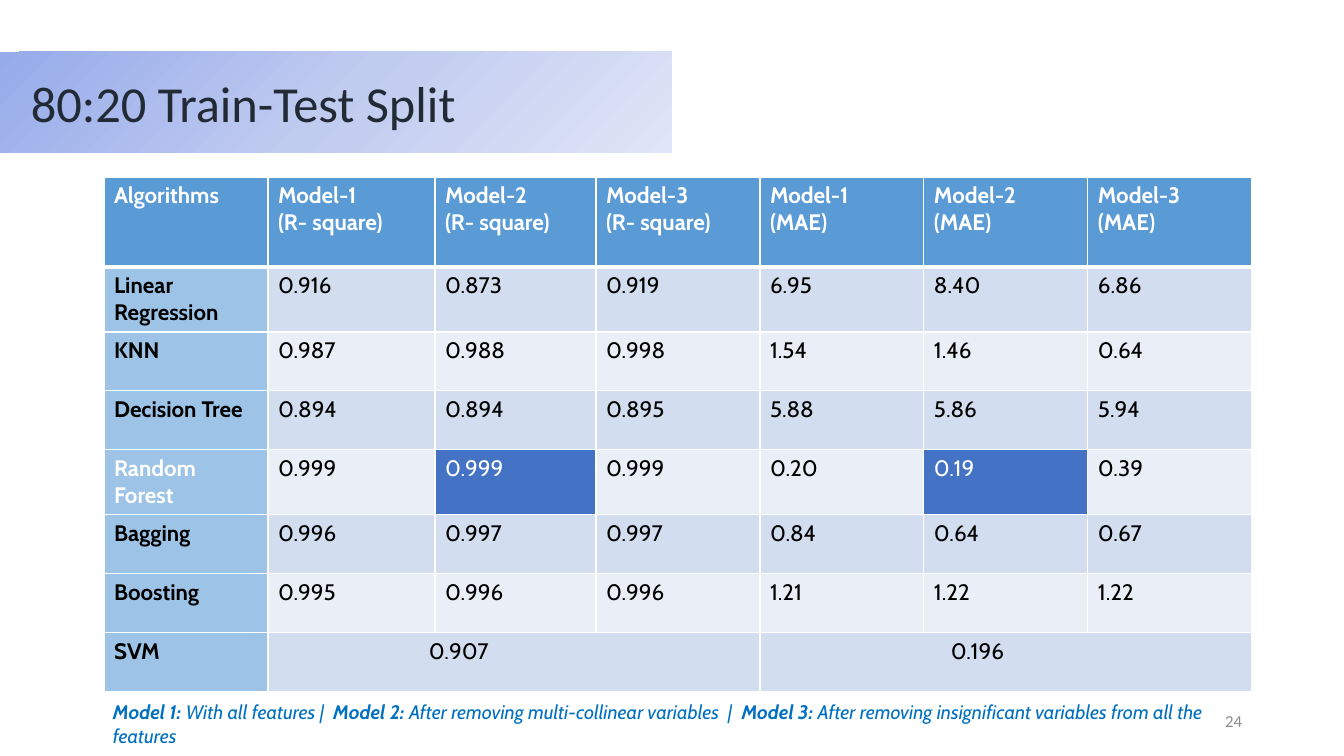
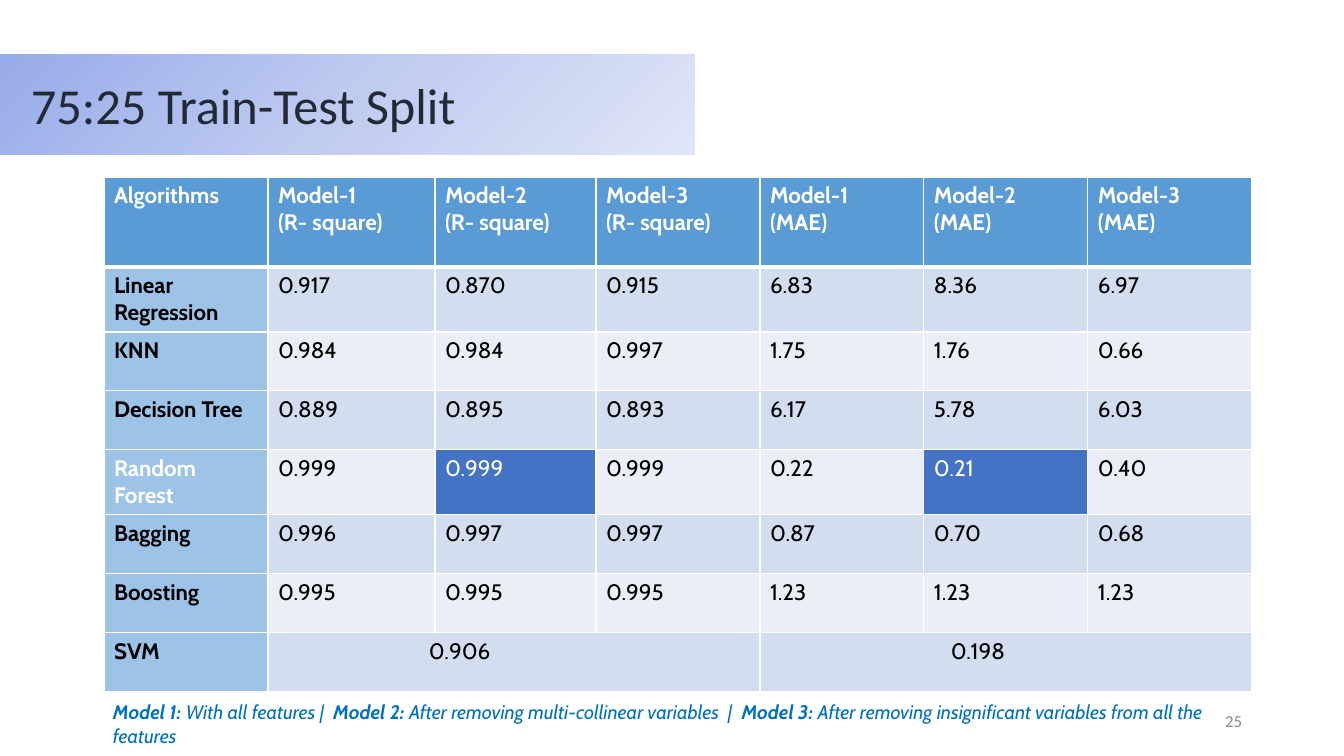
import copy

import pptx
import pptx.dml.color
import pptx.enum.text
import pptx.oxml
import pptx.oxml.ns
import pptx.util

RGB = pptx.dml.color.RGBColor
ALIGN = pptx.enum.text.PP_ALIGN
ANCHOR = pptx.enum.text.MSO_ANCHOR

WHITE = RGB(0xFF, 0xFF, 0xFF)
BLACK = RGB(0x00, 0x00, 0x00)
TITLE_INK = RGB(0x22, 0x2A, 0x35)
NUMBER_GRAY = RGB(0x8C, 0x8C, 0x8C)
NOTE_BLUE = RGB(0x00, 0x70, 0xC0)
HEADER_BLUE = RGB(0x5B, 0x9B, 0xD5)
NAME_BLUE = RGB(0x9D, 0xC3, 0xE6)
BEST_BLUE = RGB(0x44, 0x72, 0xC4)
ROW_BANDS = (RGB(0xEA, 0xEF, 0xF7), RGB(0xD2, 0xDE, 0xEF))
BAND_STOPS = (RGB(0x96, 0xAB, 0xEA), RGB(0xC0, 0xCB, 0xF0), RGB(0xE0, 0xE5, 0xF7))

BODY_FONT = "Cabin"
TITLE_FONT = "Calibri"

SLIDE_SIZE = (1344, 756)
TABLE_LEFT, TABLE_TOP = 104, 177
COLUMN_WIDTHS = (164, 167, 161, 164, 164, 164, 164)
HEADER_HEIGHT, ROW_HEIGHT, TALL_ROW_HEIGHT = 90, 59, 65

HEADERS = ["Algorithms"] + [
    f"Model-{model}\n({measure})" for measure in ("R- square", "MAE") for model in (1, 2, 3)
]
ALGORITHMS = ("Linear Regression", "KNN", "Decision Tree", "Random Forest",
              "Bagging", "Boosting", "SVM")
TALL_ROWS = (1, 4)
BEST_ROW, BEST_COLUMNS = 4, (2, 5)
SVM_ROW = 7
SVM_INDENTS = {1: 161, 4: 191}

MODEL_NOTES = (
    ("Model 1: ", "With all features |  "),
    ("Model 2: ", "After removing multi-collinear variables  |  "),
    ("Model 3: ", "After removing insignificant variables from all the features"),
)

SPLITS = (
    {
        "title": "80:20 Train-Test Split", "number": "24", "band": (0, 52, 672, 101),
        "scores": (
            ("0.916", "0.873", "0.919", "6.95", "8.40", "6.86"),
            ("0.987", "0.988", "0.998", "1.54", "1.46", "0.64"),
            ("0.894", "0.894", "0.895", "5.88", "5.86", "5.94"),
            ("0.999", "0.999", "0.999", "0.20", "0.19", "0.39"),
            ("0.996", "0.997", "0.997", "0.84", "0.64", "0.67"),
            ("0.995", "0.996", "0.996", "1.21", "1.22", "1.22"),
            ("0.907", "", "", "0.196", "", ""),
        ),
    },
    {
        "title": "75:25 Train-Test Split", "number": "25", "band": (0, 54, 695, 101),
        "scores": (
            ("0.917", "0.870", "0.915", "6.83", "8.36", "6.97"),
            ("0.984", "0.984", "0.997", "1.75", "1.76", "0.66"),
            ("0.889", "0.895", "0.893", "6.17", "5.78", "6.03"),
            ("0.999", "0.999", "0.999", "0.22", "0.21", "0.40"),
            ("0.996", "0.997", "0.997", "0.87", "0.70", "0.68"),
            ("0.995", "0.995", "0.995", "1.23", "1.23", "1.23"),
            ("0.906", "", "", "0.198", "", ""),
        ),
    },
)


def px(length):
    """Turn px, at 100.8 to the inch, into EMU."""
    return pptx.util.Emu(round(length * 914400 / 100.8))


def set_font(run, name, size, color, bold=False, italic=False):
    font = run.font
    font.name, font.size = name, pptx.util.Pt(size)
    font.bold, font.italic = bold, italic
    font.color.rgb = color


def fill_band(shape):
    """Fill with the three-colour diagonal gradient."""
    shape.fill.gradient()
    shape.fill.gradient_angle = 315
    stop_list = shape.element.find(".//" + pptx.oxml.ns.qn("a:gsLst"))
    stop_list.insert(1, copy.deepcopy(stop_list[0]))
    for stop, color, position in zip(shape.fill.gradient_stops, BAND_STOPS, (0, 0.5, 1)):
        stop.color.rgb = color
        stop.position = position


def add_title(slide, text, band):
    title = slide.shapes.title
    title.left, title.top, title.width, title.height = map(px, band)
    fill_band(title)
    frame = title.text_frame
    frame.text = text
    frame.auto_size = pptx.enum.text.MSO_AUTO_SIZE.NONE
    frame.vertical_anchor = ANCHOR.MIDDLE
    frame.margin_left = px(31)
    frame.paragraphs[0].alignment = ALIGN.LEFT
    set_font(frame.paragraphs[0].runs[0], TITLE_FONT, 36, TITLE_INK)


def add_text_frame(slide, *box):
    frame = slide.shapes.add_textbox(*map(px, box)).text_frame
    frame.word_wrap = True
    return frame


def set_borders(cell, row):
    """Draw white cell edges, thicker beneath the header row."""
    properties = cell._tc.get_or_add_tcPr()
    widths = {"L": 1, "R": 1, "T": 3 if row == 1 else 1, "B": 3 if row == 0 else 1}
    for side, width in widths.items():
        properties.append(pptx.oxml.parse_xml(
            f'<a:ln{side} {pptx.oxml.ns.nsdecls("a")} w="{pptx.util.Pt(width)}">'
            f'<a:solidFill><a:srgbClr val="{WHITE}"/></a:solidFill></a:ln{side}>'))


def cell_colors(row, column):
    """Return the fill and the text colour of a cell."""
    if row == 0:
        return HEADER_BLUE, WHITE
    if column == 0:
        return NAME_BLUE, WHITE if row == BEST_ROW else BLACK
    if row == BEST_ROW and column in BEST_COLUMNS:
        return BEST_BLUE, WHITE
    return ROW_BANDS[row % 2], BLACK


def format_cell(cell, row, column, text):
    fill, ink = cell_colors(row, column)
    set_borders(cell, row)
    cell.fill.solid()
    cell.fill.fore_color.rgb = fill
    cell.text_frame.text = text
    for paragraph in cell.text_frame.paragraphs:
        for run in paragraph.runs:
            set_font(run, BODY_FONT, 16, ink, bold=row == 0 or column == 0)


def add_score_table(slide, scores):
    content = [HEADERS] + [[name, *values] for name, values in zip(ALGORITHMS, scores)]
    heights = [HEADER_HEIGHT] + [
        TALL_ROW_HEIGHT if row in TALL_ROWS else ROW_HEIGHT for row in range(1, len(content))
    ]
    table = slide.shapes.add_table(
        len(content), len(HEADERS), px(TABLE_LEFT), px(TABLE_TOP),
        px(sum(COLUMN_WIDTHS)), px(sum(heights))).table
    table.horz_banding = False
    for column, width in zip(table.columns, COLUMN_WIDTHS):
        column.width = px(width)
    for table_row, height in zip(table.rows, heights):
        table_row.height = px(height)
    for row, texts in enumerate(content):
        for column, text in enumerate(texts):
            format_cell(table.cell(row, column), row, column, text)
    for column, indent in SVM_INDENTS.items():
        svm_score = table.cell(SVM_ROW, column)
        svm_score.merge(table.cell(SVM_ROW, column + 2))
        svm_score.margin_left = px(indent)


def add_model_notes(slide):
    paragraph = add_text_frame(slide, 103, 695, 1115, 58).paragraphs[0]
    for label, meaning in MODEL_NOTES:
        for text, bold in ((label, True), (meaning, False)):
            run = paragraph.add_run()
            run.text = text
            set_font(run, BODY_FONT, 14, NOTE_BLUE, bold, italic=True)


def add_slide_number(slide, number):
    frame = add_text_frame(slide, 950, 701, 302, 40)
    frame.vertical_anchor = ANCHOR.MIDDLE
    frame.text = number
    frame.paragraphs[0].alignment = ALIGN.RIGHT
    set_font(frame.paragraphs[0].runs[0], TITLE_FONT, 12, NUMBER_GRAY)


def main():
    deck = pptx.Presentation()
    deck.slide_width, deck.slide_height = map(px, SLIDE_SIZE)
    title_only = deck.slide_layouts[5]
    for split in SPLITS:
        slide = deck.slides.add_slide(title_only)
        add_title(slide, split["title"], split["band"])
        add_score_table(slide, split["scores"])
        add_model_notes(slide)
        add_slide_number(slide, split["number"])
    deck.save("out.pptx")


if __name__ == "__main__":
    main()
